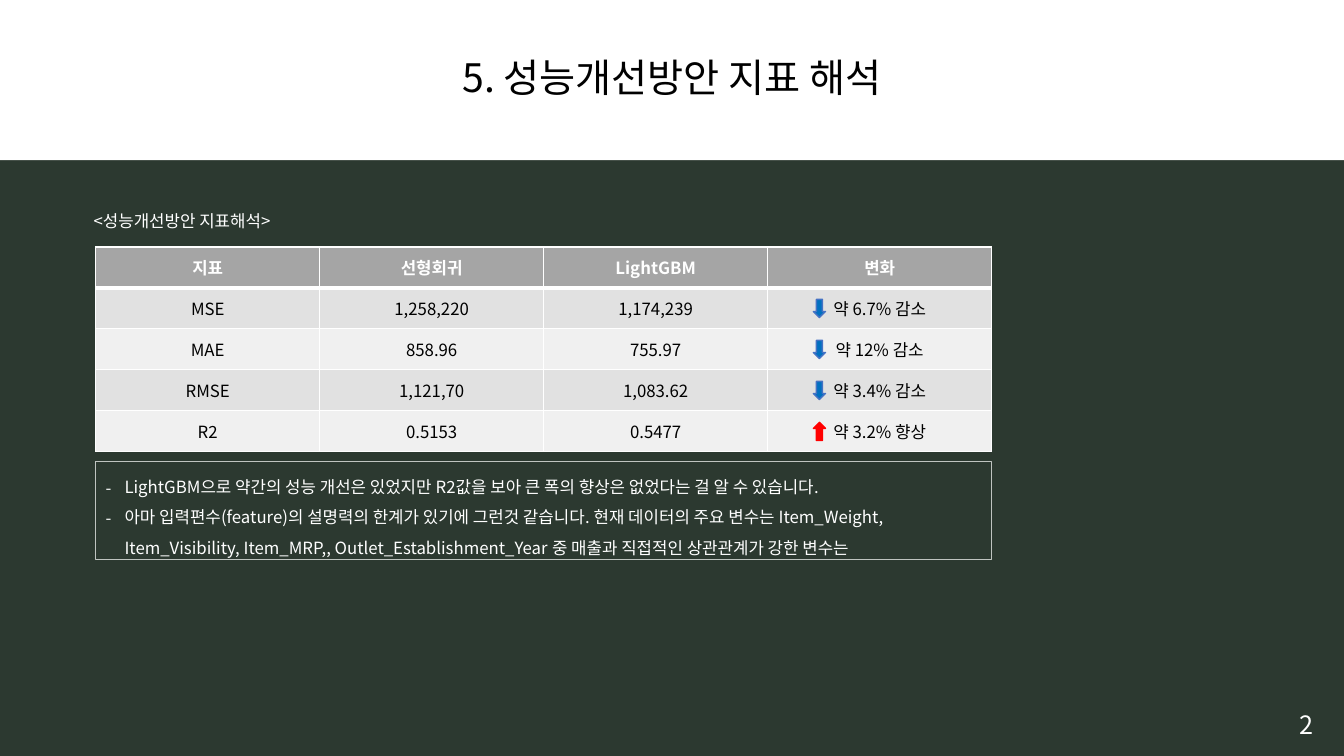
from lxml.etree import SubElement
from pptx import Presentation
from pptx.dml.color import RGBColor
from pptx.enum.shapes import MSO_SHAPE as Preset
from pptx.enum.text import MSO_ANCHOR as Anchor, PP_ALIGN as Align
from pptx.oxml.ns import qn
from pptx.util import Pt

FONT = "Noto Sans CJK KR"
WHITE, BLACK, GREEN = "FFFFFF", "000000", "2C3930"
BLUE, BLUE_EDGE, RED = "0070C0", "4472C4", "FF0000"
HEADER_GREY, ROW_GREYS, NOTES_EDGE = "A5A5A5", ("E1E1E1", "F0F0F0"), "BFC4C0"

METRICS = [
    ("지표", "선형회귀", "LightGBM", "변화"),
    ("MSE", "1,258,220", "1,174,239", "약 6.7% 감소"),
    ("MAE", "858.96", "755.97", "약 12% 감소"),
    ("RMSE", "1,121,70", "1,083.62", "약 3.4% 감소"),
    ("R2", "0.5153", "0.5477", "약 3.2% 향상"),
]
FINDINGS = [
    "LightGBM으로 약간의 성능 개선은 있었지만 R2값을 보아 큰 폭의 향상은 없었다는 걸 알 수 있습니다.",
    "아마 입력편수(feature)의 설명력의 한계가 있기에 그런것 같습니다. 현재 데이터의 주요 변수는 "
    "Item_Weight, Item_Visibility, Item_MRP,, Outlet_Establishment_Year 중 "
    "매출과 직접적인 상관관계가 강한 변수는",
]


def color(value):
    return RGBColor.from_string(value)


def points(box):
    return [Pt(length) for length in box]


def apply(target, formats):
    for name, value in formats.items():
        setattr(target, name, value)


def write(paragraph, words, size, ink, bold=False, **formats):
    apply(paragraph, formats)
    run = paragraph.add_run()
    run.text = words
    apply(run.font, {"name": FONT, "size": Pt(size), "bold": bold})
    run.font.color.rgb = color(ink)
    SubElement(run.font._element, qn("a:ea")).set("typeface", FONT)


def add_preset(slide, preset, box, fill=None, edge=None, width=1):
    preset_shape = slide.shapes.add_shape(preset, *points(box))
    preset_shape.shadow.inherit = False
    if fill:
        preset_shape.fill.solid()
        preset_shape.fill.fore_color.rgb = color(fill)
    else:
        preset_shape.fill.background()
    if edge:
        preset_shape.line.color.rgb = color(edge)
        preset_shape.line.width = Pt(width)
    else:
        preset_shape.line.fill.background()
    return preset_shape


def add_title_band(slide, box):
    frame = add_preset(slide, Preset.RECTANGLE, box, WHITE).text_frame
    apply(frame, {"word_wrap": True, "vertical_anchor": Anchor.MIDDLE})
    write(frame.paragraphs[0], "5. 성능개선방안 지표 해석", 28, BLACK,
          alignment=Align.CENTER, line_spacing=0.9)


def add_label(slide, box, words, size, **formats):
    frame = slide.shapes.add_textbox(*points(box)).text_frame
    frame.word_wrap = True
    write(frame.paragraphs[0], words, size, WHITE, **formats)


def border_cell(cell, row):
    properties = cell._tc.get_or_add_tcPr()
    widths = {"lnL": 1, "lnR": 1, "lnT": 3 if row == 1 else 1, "lnB": 3 if row == 0 else 1}
    for position, (side, width) in enumerate(widths.items()):
        border = properties.makeelement(qn(f"a:{side}"), {"w": str(Pt(width))})
        properties.insert(position, border)
        fill = SubElement(border, qn("a:solidFill"))
        SubElement(fill, qn("a:srgbClr")).set("val", WHITE)


def add_metric_table(slide, box):
    left, top, width, height = box
    row_height = height / len(METRICS)
    table = slide.shapes.add_table(len(METRICS), len(METRICS[0]), *points(box)).table
    for row, values in enumerate(METRICS):
        table.rows[row].height = Pt(row_height)
        header = row == 0
        for column, value in enumerate(values):
            cell = table.cell(row, column)
            cell.vertical_anchor = Anchor.MIDDLE
            cell.fill.solid()
            cell.fill.fore_color.rgb = color(HEADER_GREY if header else ROW_GREYS[(row - 1) % 2])
            border_cell(cell, row)
            write(cell.text_frame.paragraphs[0], value, 12, WHITE if header else BLACK,
                  header, alignment=Align.CENTER)
        if not header:
            middle = top + (row + 0.5) * row_height
            add_change_arrow(slide, (left + 512.6, middle - 6.5, 8.64, 13), "향상" in values[-1])


def add_change_arrow(slide, box, improved):
    fill, edge = (RED, RED) if improved else (BLUE, BLUE_EDGE)
    arrow = add_preset(slide, Preset.DOWN_ARROW, box, fill, edge)
    arrow.rotation = 180 if improved else 0


def add_findings(slide, box):
    frame = add_preset(slide, Preset.RECTANGLE, box, edge=NOTES_EDGE, width=0.75).text_frame
    apply(frame, {"word_wrap": True, "vertical_anchor": Anchor.TOP})
    for index, finding in enumerate(FINDINGS):
        paragraph = frame.add_paragraph() if index else frame.paragraphs[0]
        write(paragraph, finding, 12, WHITE, alignment=Align.LEFT, line_spacing=1.5)
        properties = paragraph._p.get_or_add_pPr()
        properties.set("marL", str(Pt(13.5)))
        properties.set("indent", str(-Pt(13.5)))
        SubElement(properties, qn("a:buFont")).set("typeface", FONT)
        SubElement(properties, qn("a:buChar")).set("char", "-")


def main():
    deck = Presentation()
    apply(deck, {"slide_width": Pt(960), "slide_height": Pt(540)})
    slide = deck.slides.add_slide(deck.slide_layouts[6])
    slide.background.fill.solid()
    slide.background.fill.fore_color.rgb = color(GREEN)
    add_title_band(slide, (0, 0, 960, 114.4))
    add_label(slide, (906.5, 503.3, 53.5, 29), "2", 18, alignment=Align.CENTER)
    add_label(slide, (59.8, 139.7, 435, 26), "<성능개선방안 지표해석>", 12, line_spacing=1.5)
    add_metric_table(slide, (68.4, 176.4, 640, 146.4))
    add_findings(slide, (68.4, 329.8, 640, 70))
    deck.save("out.pptx")


if __name__ == "__main__":
    main()
